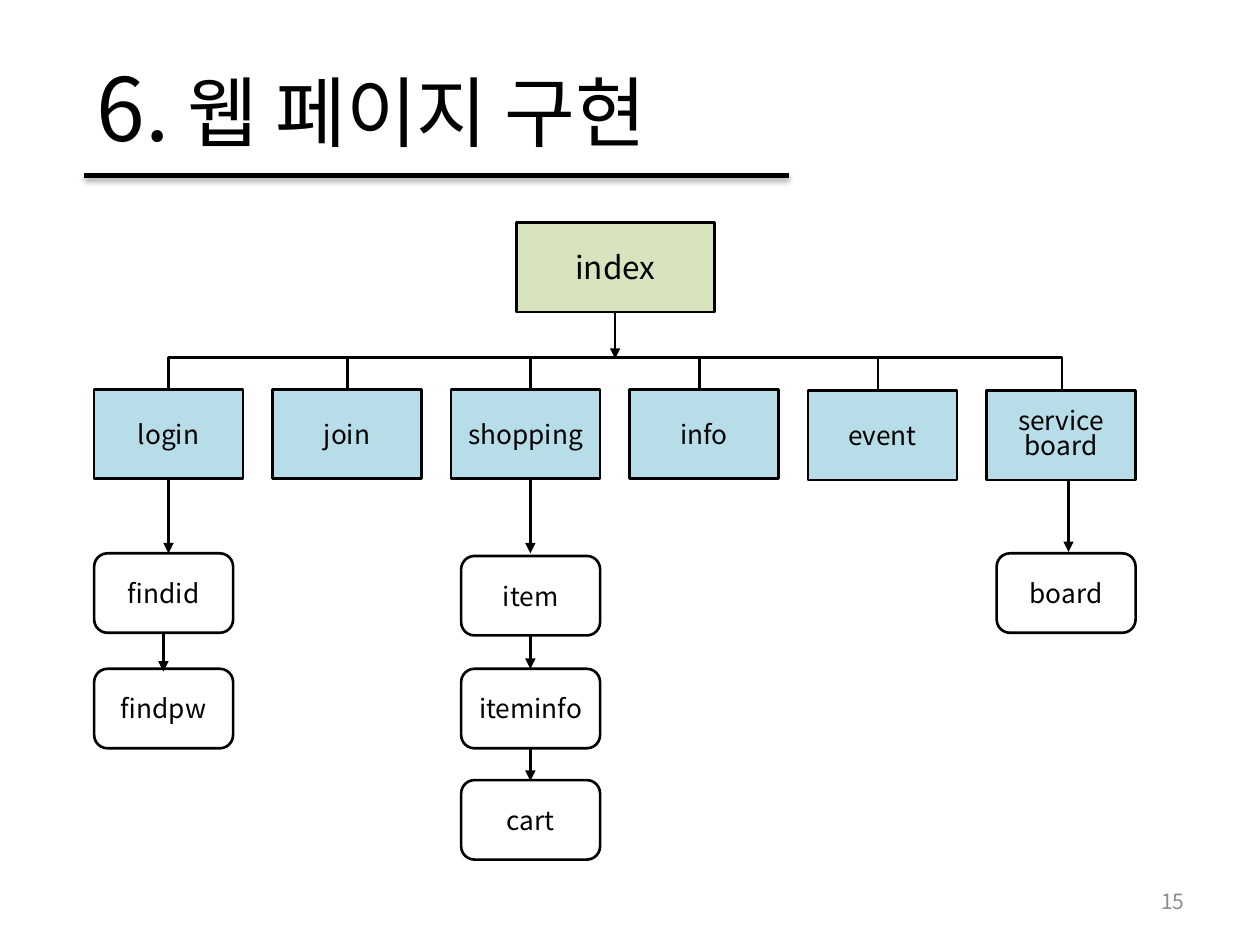
"""Build a slide with the page tree of a web site."""
from lxml.etree import SubElement
from pptx import Presentation
from pptx.dml.color import RGBColor
from pptx.enum.shapes import MSO_CONNECTOR as CONNECTOR, MSO_SHAPE as SHAPE
from pptx.enum.text import MSO_ANCHOR as ANCHOR, PP_ALIGN as ALIGN
from pptx.oxml import parse_xml
from pptx.oxml.ns import nsdecls, qn
from pptx.util import Pt

FONT = "Noto Sans CJK KR"
BLACK = RGBColor(0x00, 0x00, 0x00)
WHITE = RGBColor(0xFF, 0xFF, 0xFF)
GRAY = RGBColor(0x8C, 0x8C, 0x8C)
GREEN = RGBColor(0xD7, 0xE4, 0xBD)
BLUE = RGBColor(0xB7, 0xDE, 0xE8)
SHADOW = f"""<a:effectLst {nsdecls('a')}>
  <a:outerShdw blurRad="39370" dist="22860" dir="5400000" rotWithShape="0">
    <a:srgbClr val="000000"><a:alpha val="35000"/></a:srgbClr>
  </a:outerShdw>
</a:effectLst>"""


def write(shape, lines, size=15, color=BLACK, align=ALIGN.CENTER, spacing=1.0):
    frame = shape.text_frame
    frame.word_wrap = True
    frame.vertical_anchor = ANCHOR.MIDDLE
    for index, line in enumerate(lines):
        paragraph = frame.add_paragraph() if index else frame.paragraphs[0]
        paragraph.alignment = align
        paragraph.line_spacing = spacing
        for text, run_size in [(line, size)] if isinstance(line, str) else line:
            run = paragraph.add_run()
            run.text = text
            run.font.size = Pt(run_size)
            run.font.name = FONT
            run.font.color.rgb = color
            SubElement(run.font._element, qn("a:ea"), typeface=FONT)


def connect(x1, y1, x2, y2, kind=CONNECTOR.STRAIGHT, width=1.5, arrow=False, effects=None):
    connector = slide.shapes.add_connector(kind, Pt(x1), Pt(y1), Pt(x2), Pt(y2))
    connector.line.color.rgb = BLACK
    connector.line.width = Pt(width)
    if arrow:
        SubElement(connector.line._get_or_add_ln(), qn("a:tailEnd"), type="triangle")
    effects = effects or f"<a:effectLst {nsdecls('a')}/>"
    connector._element.spPr.append(parse_xml(effects))
    return connector


presentation = Presentation()
presentation.slide_width, presentation.slide_height = Pt(720), Pt(540)
slide = presentation.slides.add_slide(presentation.slide_layouts[5])

connect(48.2, 100.1, 450.7, 100.1, width=3, effects=SHADOW)

title = slide.shapes.title
title.left, title.top, title.width, title.height = Pt(48.2), Pt(21.6), Pt(465.8), Pt(78.5)
write(title, [[("6.", 50), (" 웹 페이지 구현", 44)]], align=ALIGN.LEFT)

page_number = slide.shapes.add_textbox(Pt(516), Pt(500.5), Pt(168), Pt(28.8))
write(page_number, ["15"], size=12, color=GRAY, align=ALIGN.RIGHT)

PAGE, SUBPAGE = SHAPE.FLOWCHART_PROCESS, SHAPE.FLOWCHART_ALTERNATE_PROCESS
boxes = [(PAGE, ["index"], 295, 127.2, 113.4, 51, GREEN, 18)]
sections = ["login"], ["join"], ["shopping"], ["info"], ["event"], ["service", "board"]
for column, lines in enumerate(sections):
    top = 222.5 if column < 4 else 223.3
    boxes.append((PAGE, lines, 53.8 + 102 * column, top, 85, 51, BLUE, 15))
for name, left, top in [
    ("findid", 53.8, 316.2), ("findpw", 53.8, 382.2),
    ("item", 263.5, 317.7), ("iteminfo", 263.5, 382.2), ("cart", 263.5, 445.8),
    ("board", 569.5, 316.2),
]:
    boxes.append((SUBPAGE, [name], left, top, 79.4, 45.4, WHITE, 15))

for kind, lines, left, top, width, height, fill, size in boxes:
    box = slide.shapes.add_shape(kind, Pt(left), Pt(top), Pt(width), Pt(height))
    box.shadow.inherit = False
    box.fill.solid()
    box.fill.fore_color.rgb = fill
    box.line.color.rgb = BLACK
    box.line.width = Pt(1.5)
    write(box, lines, size=size, spacing=0.8 if len(lines) > 1 else 1.0)

branch = connect(352.1, -32.4, 351.26, 478, kind=CONNECTOR.ELBOW)
branch._element.spPr.find(qn("a:xfrm")).set("rot", "16200000")
guides = branch._element.spPr.find(qn("a:prstGeom")).get_or_add_avLst()
SubElement(guides, qn("a:gd"), name="adj1", fmla="val -2140000")

for x in (198.5, 303.1, 399.6, 501.8):
    connect(x, 205, x, 222.8)

for x, start, end in [
    (351.5, 178.2, 205), (96.3, 274, 316.2), (303.1, 274, 316.2), (610.6, 273.6, 315.4),
    (303.1, 363.2, 382.2), (93.4, 361.6, 383.8), (303.1, 427.6, 446.2),
]:
    connect(x, start, x, end, arrow=True)

presentation.save("out.pptx")
